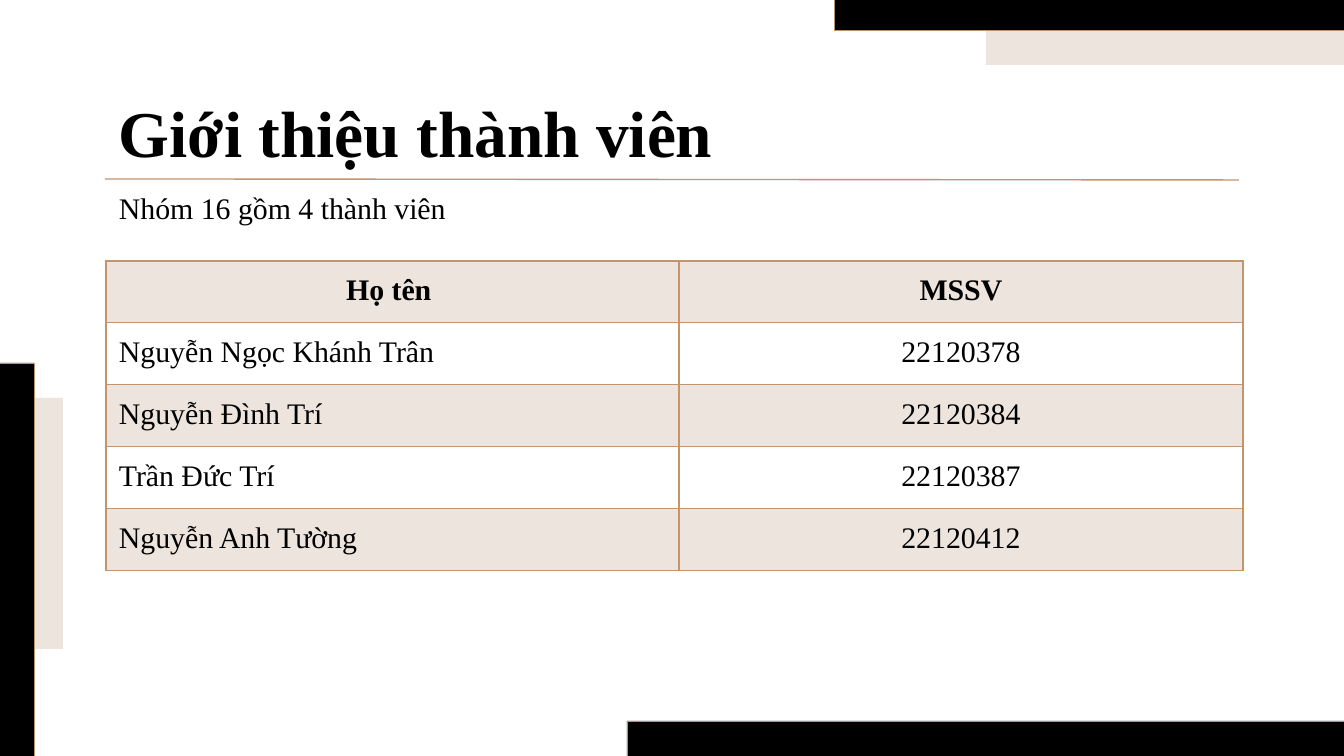
from lxml import etree
from pptx import Presentation
from pptx.dml.color import RGBColor
from pptx.enum.shapes import MSO_CONNECTOR, MSO_SHAPE
from pptx.enum.text import MSO_ANCHOR, PP_ALIGN
from pptx.oxml.ns import qn
from pptx.util import Pt

PX = 914400 / 134.4
FONT = "Times New Roman"
LINE = MSO_CONNECTOR.STRAIGHT
RECT = MSO_SHAPE.RECTANGLE
TOP, BOTTOM = MSO_ANCHOR.TOP, MSO_ANCHOR.BOTTOM
LEFT, CENTER = PP_ALIGN.LEFT, PP_ALIGN.CENTER
COLORS = {"black": "000000", "white": "FFFFFF", "beige": "EDE4DD",
          "edge": "B5946F", "rule": "C2956F"}


def px(*values):
    return [round(v * PX) for v in values]


def add_text(tf, text, size, bold=False, align=LEFT):
    p = tf.paragraphs[0]
    p.alignment = align
    r = p.add_run()
    r.text = text
    r.font.name = FONT
    r.font.size = Pt(size)
    r.font.bold = bold
    r.font.color.rgb = RGBColor.from_string(COLORS["black"])


prs = Presentation()
prs.slide_width, prs.slide_height = px(1344, 756)
s = prs.slides.add_slide(prs.slide_layouts[6])

bars = [
    (986, -28, 390, 93, "beige", 0),
    (834, -35, 542, 66, "black", 0.01),
    (-20, 398, 83, 251, "beige", 0),
    (-27, 363, 61, 406, "black", 0.02),
    (627, 721, 736, 45, "black", 0.02),
]
for x, y, w, h, color, edge in bars:
    sp = s.shapes.add_shape(RECT, *px(x, y, w, h))
    sp.shadow.inherit = False
    sp.fill.solid()
    sp.fill.fore_color.rgb = RGBColor.from_string(COLORS[color])
    if edge:
        sp.line.color.rgb = RGBColor.from_string(COLORS["edge"])
        sp.line.width = Pt(edge)
    else:
        sp.line.fill.background()

headings = [
    ("Giới thiệu thành viên", 79, 93, 35, True, TOP),
    ("Nhóm 16 gồm 4 thành viên", 181, 58, 16, False, BOTTOM),
]
for text, y, h, size, bold, anchor in headings:
    tf = s.shapes.add_textbox(*px(106, y, 1133, h)).text_frame
    tf.word_wrap = True
    tf.vertical_anchor = anchor
    tf.margin_left, tf.margin_top, tf.margin_right, tf.margin_bottom = px(13, 13, 13, 13)
    add_text(tf, text, size, bold)

members = [
    ("Họ tên ", "MSSV"),
    ("Nguyễn Ngọc Khánh Trân", "22120378"),
    ("Nguyễn Đình Trí", "22120384"),
    ("Trần Đức Trí", "22120387"),
    ("Nguyễn Anh Tường", "22120412"),
]
widths = [573, 564]
heights = [51, 51, 51, 62, 51]
table = s.shapes.add_table(len(members), len(widths),
                           *px(106, 261, sum(widths), sum(heights))).table
for column, width in zip(table.columns, px(*widths)):
    column.width = width
for row, height in zip(table.rows, px(*heights)):
    row.height = height

for i, member in enumerate(members):
    for j, text in enumerate(member):
        cell = table.cell(i, j)
        cell.margin_left, cell.margin_top, cell.margin_right, cell.margin_bottom = px(13, 13, 13, 13)
        add_text(cell.text_frame, text, 16, i == 0, CENTER if i == 0 or j == 1 else LEFT)
        tcPr = cell._tc.get_or_add_tcPr()
        for side in ("lnL", "lnR", "lnT", "lnB"):
            ln = etree.SubElement(tcPr, qn(f"a:{side}"), w=str(Pt(0.75)))
            fill = etree.SubElement(ln, qn("a:solidFill"))
            etree.SubElement(fill, qn("a:srgbClr"), val=COLORS["rule"])
        cell.fill.solid()
        cell.fill.fore_color.rgb = RGBColor.from_string(COLORS["white" if i % 2 else "beige"])

rule = s.shapes.add_connector(LINE, *px(105, 179, 1239, 180))
rule.line.color.rgb = RGBColor.from_string(COLORS["rule"])
rule.line.width = Pt(0.75)
etree.SubElement(rule._element.spPr, qn("a:effectLst"))

prs.save("out.pptx")
